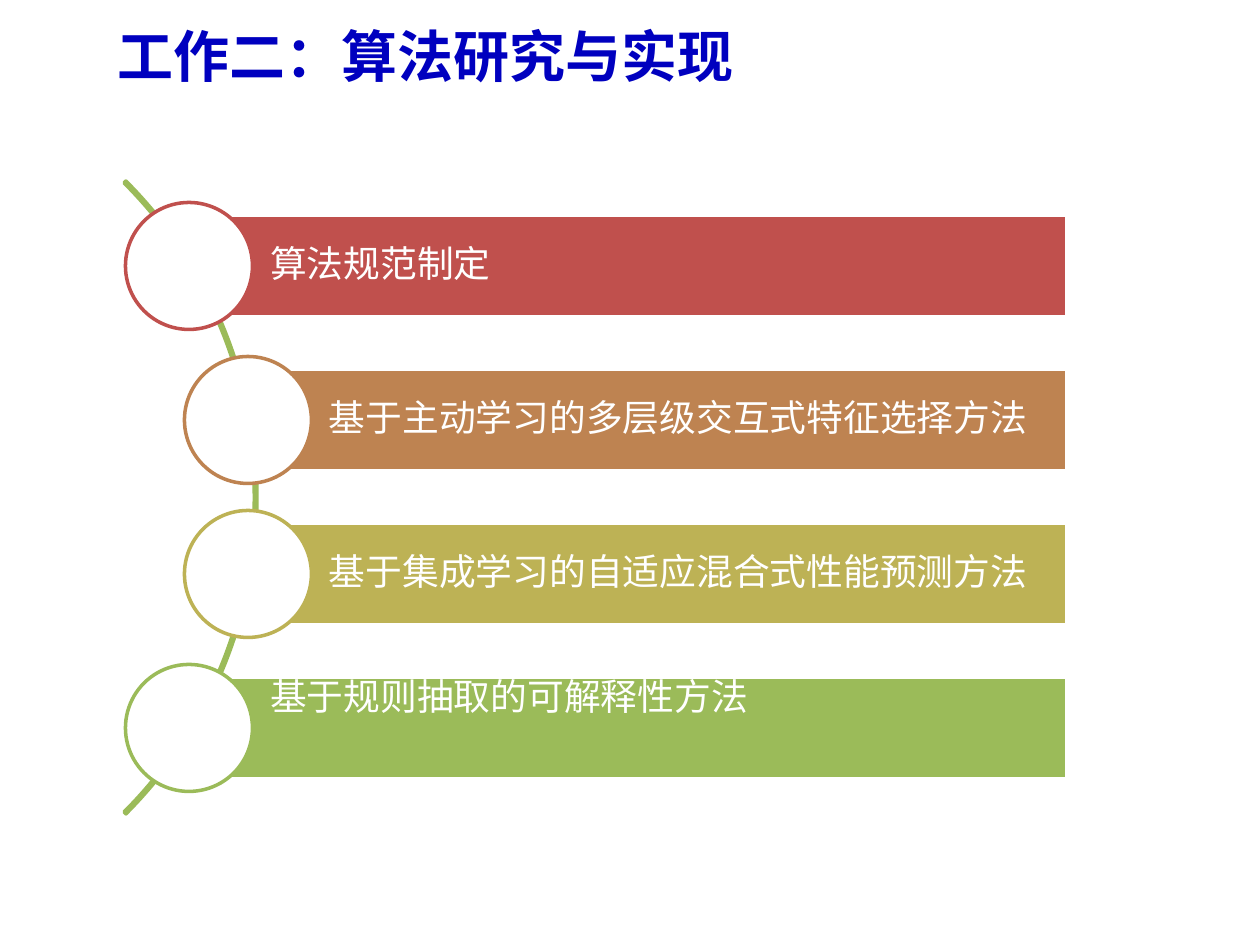
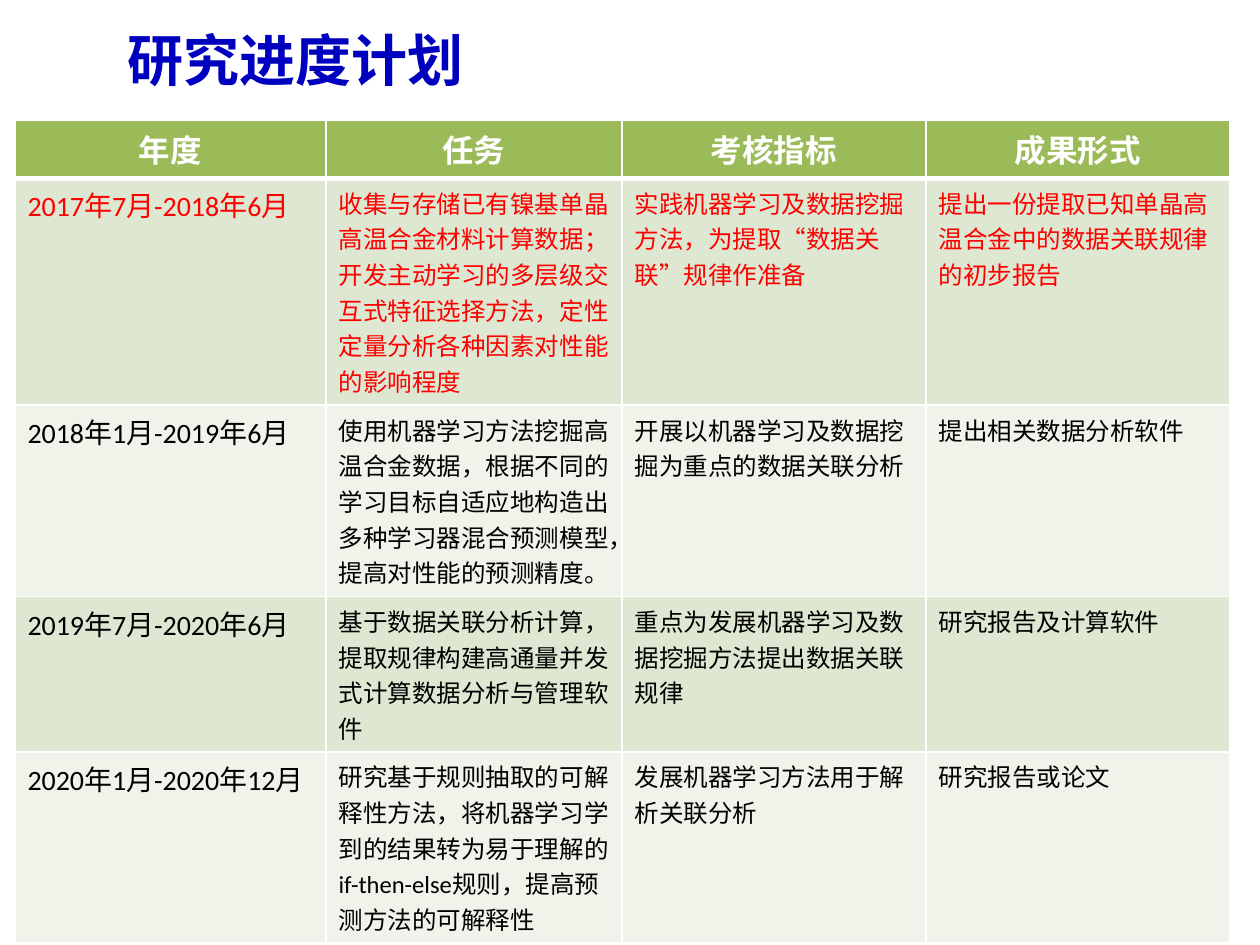
"""Build two slides on algorithm research and its schedule."""
import dataclasses

import lxml.etree
import pptx
import pptx.dml.color
import pptx.enum.shapes
import pptx.enum.text
import pptx.oxml.ns
import pptx.util

SHAPE = pptx.enum.shapes.MSO_SHAPE
ANCHOR = pptx.enum.text.MSO_ANCHOR
ALIGN = pptx.enum.text.PP_ALIGN


@dataclasses.dataclass(frozen=True)
class Theme:
    """Colours, fonts and type sizes shared by the slides."""
    title_color: str = "0000BF"
    white: str = "FFFFFF"
    black: str = "000000"
    current: str = "FF0000"
    green: str = "9BBB59"
    steps: tuple = ("C0504D", "BE8351", "BDB255", "9BBB59")
    bands: tuple = ("DEE7D1", "EFF3EA")
    title_font: str = "Noto Sans CJK SC"
    body_font: str = "Calibri"
    title_size: int = 32
    step_size: int = 21
    header_size: int = 18
    period_size: int = 16
    cell_size: int = 14
    line_width: int = 2


THEME = Theme()

STEPS = (
    "算法规范制定",
    "基于主动学习的多层级交互式特征选择方法",
    "基于集成学习的自适应混合式性能预测方法",
    "基于规则抽取的可解释性方法",
)

HEADERS = ("年度", "任务", "考核指标", "成果形式")
SCHEDULE = (
    ("2017年7月-2018年6月",
     "收集与存储已有镍基单晶高温合金材料计算数据；开发主动学习的多层级交互式特征选择方法，定性定量分析各种因素对性能的影响程度",
     "实践机器学习及数据挖掘方法，为提取“数据关联”规律作准备",
     "提出一份提取已知单晶高温合金中的数据关联规律的初步报告"),
    ("2018年1月-2019年6月",
     "使用机器学习方法挖掘高温合金数据，根据不同的学习目标自适应地构造出多种学习器混合预测模型，提高对性能的预测精度。",
     "开展以机器学习及数据挖掘为重点的数据关联分析",
     "提出相关数据分析软件"),
    ("2019年7月-2020年6月",
     "基于数据关联分析计算，提取规律构建高通量并发式计算数据分析与管理软件",
     "重点为发展机器学习及数据挖掘方法提出数据关联规律",
     "研究报告及计算软件"),
    ("2020年1月-2020年12月",
     "研究基于规则抽取的可解释性方法，将机器学习学到的结果转为易于理解的if-then-else规则，提高预测方法的可解释性",
     "发展机器学习方法用于解析关联分析",
     "研究报告或论文"),
)
COLUMN_WIDTHS = (311, 296, 304, 304)
ROW_HEIGHTS = (48, 179, 163, 118, 186)


def px(length):
    """Turn pixels into EMU."""
    return pptx.util.Emu(round(length * 914400 / 126))


def rgb(value):
    """Turn a hex string into a colour."""
    return pptx.dml.color.RGBColor.from_string(value)


def add_run(paragraph, text, size, color, font=THEME.body_font, bold=False):
    """Add one formatted run to a paragraph."""
    run = paragraph.add_run()
    run.text = text
    run.font.size = pptx.util.Pt(size)
    run.font.bold = bold
    run.font.color.rgb = rgb(color)
    run.font.name = font
    return run


def add_titled_slide(presentation, text, left, top):
    """Add a title-only slide with its title placed and formatted."""
    slide = presentation.slides.add_slide(presentation.slide_layouts[5])
    title = slide.shapes.title
    title.left, title.top, title.width, title.height = map(px, (left, top, 1134, 110))
    frame = title.text_frame
    frame.auto_size = pptx.enum.text.MSO_AUTO_SIZE.NONE
    frame.vertical_anchor = ANCHOR.MIDDLE
    paragraph = frame.paragraphs[0]
    paragraph.alignment = ALIGN.LEFT
    run = add_run(paragraph, text, THEME.title_size, THEME.title_color,
                  THEME.title_font, bold=True)
    lxml.etree.SubElement(run._r.get_or_add_rPr(), pptx.oxml.ns.qn("a:ea"),
                          typeface=THEME.title_font)
    return slide


def add_outlined(shapes, kind, box, line, fill=None):
    """Add a preset shape with an outline and an optional fill."""
    shape = shapes.add_shape(kind, *map(px, box))
    shape.shadow.inherit = False
    if fill:
        shape.fill.solid()
        shape.fill.fore_color.rgb = rgb(fill)
    else:
        shape.fill.background()
    shape.line.color.rgb = rgb(line)
    shape.line.width = pptx.util.Pt(THEME.line_width)
    return shape


def add_step(shapes, text, center, top, color, anchor, top_inset):
    """Add a coloured bar with its text and the circle at its start."""
    right, height, diameter = 1067, 102, 127
    bar = add_outlined(shapes, SHAPE.RECTANGLE,
                       (center, top, right - center, height), THEME.white, color)
    frame = bar.text_frame
    frame.word_wrap = True
    frame.vertical_anchor = anchor
    frame.margin_left, frame.margin_top = px(81), px(top_inset)
    frame.margin_right = frame.margin_bottom = px(8)
    paragraph = frame.paragraphs[0]
    paragraph.alignment = ALIGN.LEFT
    paragraph.line_spacing = 0.9
    add_run(paragraph, text, THEME.step_size, THEME.white)
    add_outlined(shapes, SHAPE.OVAL,
                 (center - diameter / 2, top + (height - diameter) / 2, diameter, diameter),
                 color, THEME.white)


def add_step_list(slide):
    """Add the arc and the steps strung along it."""
    shapes = slide.shapes.add_group_shape().shapes
    arc = add_outlined(shapes, SHAPE.BLOCK_ARC, (-638, 50, 895, 895), THEME.green)
    for index, value in enumerate((189, 27, 0.003)):
        arc.adjustments[index] = value
    last = len(STEPS) - 1
    for index, (text, color) in enumerate(zip(STEPS, THEME.steps)):
        center = 189 if index in (0, last) else 248
        anchor, inset = (ANCHOR.TOP, 2) if index == last else (ANCHOR.MIDDLE, 8)
        add_step(shapes, text, center, 215 + 154 * index, color, anchor, inset)


def set_borders(cell, widths):
    """Draw white cell borders, given widths in points by side."""
    properties = cell._tc.get_or_add_tcPr()
    for side, width in widths.items():
        line = lxml.etree.SubElement(properties, pptx.oxml.ns.qn(f"a:ln{side}"),
                                     w=str(pptx.util.Pt(width)))
        fill = lxml.etree.SubElement(line, pptx.oxml.ns.qn("a:solidFill"))
        lxml.etree.SubElement(fill, pptx.oxml.ns.qn("a:srgbClr"), val=THEME.white)


def fill_cell(cell, text, row, column):
    """Write and format one cell by its place in the table."""
    set_borders(cell, {"L": 1, "R": 1, "T": 3 if row == 1 else 1, "B": 3 if row == 0 else 1})
    cell.fill.solid()
    paragraph = cell.text_frame.paragraphs[0]
    if row == 0:
        cell.fill.fore_color.rgb = rgb(THEME.green)
        paragraph.alignment = ALIGN.CENTER
        add_run(paragraph, text, THEME.header_size, THEME.white, bold=True)
    else:
        cell.fill.fore_color.rgb = rgb(THEME.bands[(row - 1) % 2])
        size = THEME.period_size if column == 0 else THEME.cell_size
        add_run(paragraph, text, size, THEME.current if row == 1 else THEME.black)


def add_schedule(slide):
    """Add the schedule table."""
    rows = (HEADERS,) + SCHEDULE
    box = (15, 120, sum(COLUMN_WIDTHS), sum(ROW_HEIGHTS))
    table = slide.shapes.add_table(len(rows), len(HEADERS), *map(px, box)).table
    for column, width in zip(table.columns, COLUMN_WIDTHS):
        column.width = px(width)
    for row, height in zip(table.rows, ROW_HEIGHTS):
        row.height = px(height)
    for row, texts in enumerate(rows):
        for column, text in enumerate(texts):
            fill_cell(table.cell(row, column), text, row, column)


def main():
    """Build and save the presentation."""
    presentation = pptx.Presentation()
    presentation.slide_width, presentation.slide_height = px(1260), px(945)
    add_step_list(add_titled_slide(presentation, "工作二：算法研究与实现", 105, 0))
    add_schedule(add_titled_slide(presentation, "研究进度计划", 115, 4))
    presentation.save("out.pptx")


main()
